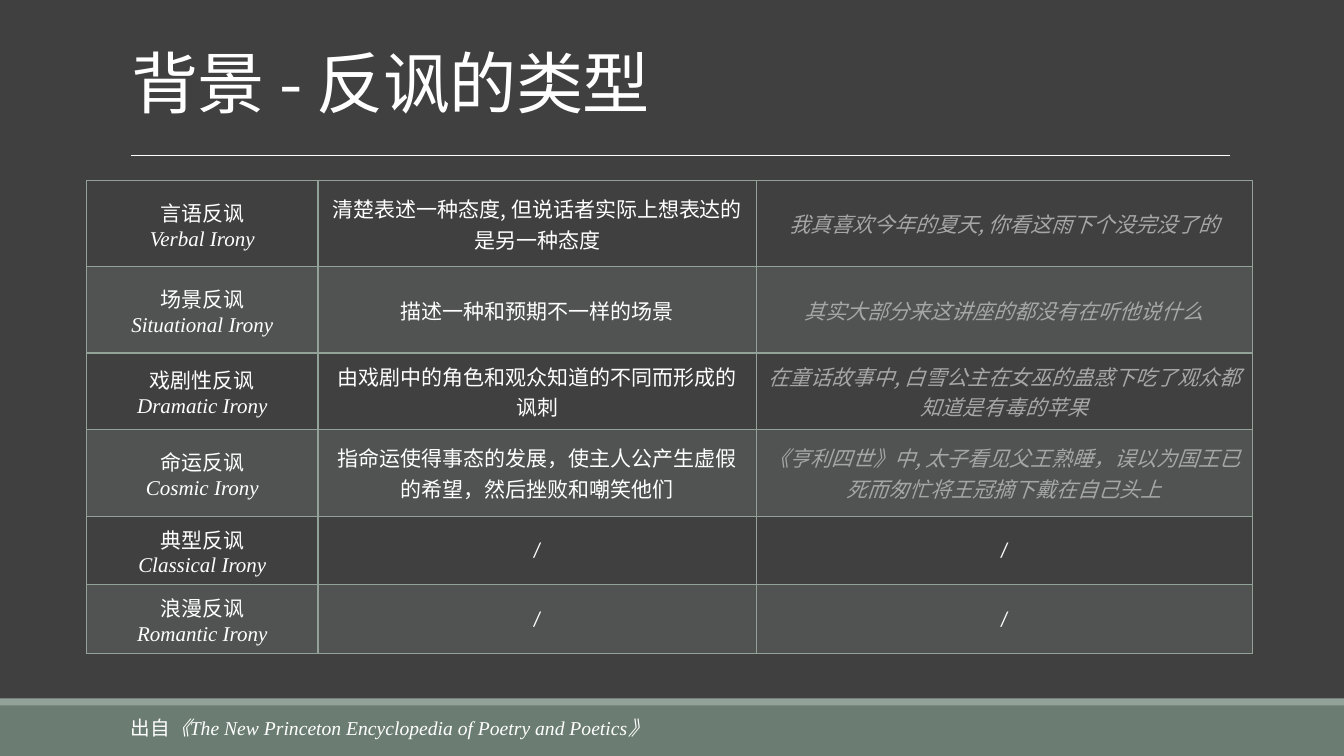
"""Build a slide with a table of the types of irony."""
from dataclasses import dataclass

import lxml.etree
import pptx
import pptx.dml.color
import pptx.enum.shapes
import pptx.enum.text
import pptx.oxml.ns
import pptx.util

RGBColor = pptx.dml.color.RGBColor
ALIGN = pptx.enum.text.PP_ALIGN
ANCHOR = pptx.enum.text.MSO_ANCHOR
AUTO = pptx.enum.text.MSO_AUTO_SIZE
qn = pptx.oxml.ns.qn

DARK = RGBColor(0x40, 0x40, 0x40)
GREEN = RGBColor(0x6B, 0x7D, 0x72)
SAGE = RGBColor(0x93, 0xA2, 0x99)
WHITE = RGBColor(0xFF, 0xFF, 0xFF)
GREY = RGBColor(0xA6, 0xA6, 0xA6)

CJK = "Noto Sans CJK SC"
SERIF = "Times New Roman"
SANS = "Calibri"

GRID = pptx.util.Inches(0.1)
SLIDE_COLS, SLIDE_ROWS = 133.33, 75
TABLE_COLS = (22.95, 43.5, 49.2)
TABLE_ROWS = (8.55, 8.55, 7.6, 8.6, 6.8, 6.8)


@dataclass(frozen=True)
class Box:
    """A place on the grid, in columns and rows."""
    col: float
    row: float
    cols: float
    rows: float

    def emu(self) -> tuple[int, ...]:
        """Return left, top, width and height."""
        return tuple(cells(n) for n in (self.col, self.row, self.cols, self.rows))


@dataclass(frozen=True)
class Look:
    """The look of a run."""
    size: float
    font: str = CJK
    color: RGBColor = WHITE
    italic: bool = False


@dataclass(frozen=True)
class Irony:
    """One type of irony, a row of the table."""
    name: str
    english: str
    meaning: str = "/"
    example: str = "/"


@dataclass(frozen=True)
class Band:
    """A coloured strip at the foot of the slide."""
    box: Box
    color: RGBColor


BANDS = (
    Band(Box(0, 70, SLIDE_COLS, 5), GREEN),
    Band(Box(0, 69.3, SLIDE_COLS, 0.7), SAGE),
)
TITLE_BOX = Box(12, -3.25, 110, 15.9)
SOURCE_BOX = Box(12, 70.5, 93.3, 3.4)
TABLE_BOX = Box(8.6, 17.92, sum(TABLE_COLS), sum(TABLE_ROWS))
RULE_BOX = Box(13, 15.4, 109, 0)

NAME = Look(15)
ENGLISH = Look(15, SERIF, italic=True)
EXAMPLE = Look(15, color=GREY, italic=True)
SLASH = Look(15, SANS)

IRONIES = (
    Irony("言语反讽", "Verbal Irony",
          "清楚表述一种态度, 但说话者实际上想表达的是另一种态度",
          "我真喜欢今年的夏天, 你看这雨下个没完没了的"),
    Irony("场景反讽", "Situational Irony",
          "描述一种和预期不一样的场景",
          "其实大部分来这讲座的都没有在听他说什么"),
    Irony("戏剧性反讽", "Dramatic Irony",
          "由戏剧中的角色和观众知道的不同而形成的讽刺",
          "在童话故事中, 白雪公主在女巫的蛊惑下吃了观众都知道是有毒的苹果"),
    Irony("命运反讽", "Cosmic Irony",
          "指命运使得事态的发展，使主人公产生虚假的希望，然后挫败和嘲笑他们",
          "《亨利四世》中, 太子看见父王熟睡，误以为国王已死而匆忙将王冠摘下戴在自己头上"),
    Irony("典型反讽", "Classical Irony"),
    Irony("浪漫反讽", "Romantic Irony"),
)


def cells(n: float) -> int:
    """Turn a number of grid cells into a length."""
    return round(n * GRID)


def style(r, look: Look) -> None:
    """Format a run, for Latin and for Chinese letters."""
    r.font.size = pptx.util.Pt(look.size)
    r.font.name = look.font
    r.font.italic = look.italic
    r.font.color.rgb = look.color
    rPr = r._r.get_or_add_rPr()
    ea = lxml.etree.Element(qn("a:ea"), typeface=CJK)
    rPr.find(qn("a:latin")).addnext(ea)


def border(cell) -> None:
    """Draw the four edges of a table cell."""
    tcPr = cell._tc.get_or_add_tcPr()
    for edge in ("a:lnL", "a:lnR", "a:lnT", "a:lnB"):
        ln = lxml.etree.SubElement(tcPr, qn(edge), w=str(pptx.util.Pt(1)))
        fill = lxml.etree.SubElement(ln, qn("a:solidFill"))
        lxml.etree.SubElement(fill, qn("a:srgbClr"), val=str(SAGE))


def tint(cell, banded: bool) -> None:
    """Fill a cell with a faint sage, or leave it clear."""
    if not banded:
        cell.fill.background()
        return
    cell.fill.solid()
    cell.fill.fore_color.rgb = SAGE
    color = cell._tc.tcPr.find(qn("a:solidFill")).find(qn("a:srgbClr"))
    lxml.etree.SubElement(color, qn("a:alpha"), val="20000")


def write_cell(cell, text: str, looks: tuple[Look, ...], banded: bool) -> None:
    """Write the centred paragraphs of a cell, one look each."""
    border(cell)
    tint(cell, banded)
    cell.vertical_anchor = ANCHOR.MIDDLE
    cell.text_frame.text = text
    for p, look in zip(cell.text_frame.paragraphs, looks):
        p.alignment = ALIGN.CENTER
        style(p.runs[0], look)


def add_bands(s) -> None:
    """Add the strips at the foot and the rule below the title."""
    for band in BANDS:
        sp = s.shapes.add_shape(pptx.enum.shapes.MSO_SHAPE.RECTANGLE, *band.box.emu())
        sp.shadow.inherit = False
        sp.fill.solid()
        sp.fill.fore_color.rgb = band.color
        sp.line.fill.background()
    x, y, w, h = RULE_BOX.emu()
    rule = s.shapes.add_connector(
        pptx.enum.shapes.MSO_CONNECTOR.STRAIGHT, x, y, x + w, y + h)
    rule.line.color.rgb = WHITE
    rule.line.width = pptx.util.Pt(0.5)
    lxml.etree.SubElement(rule._element.spPr, qn("a:effectLst"))


def add_title(s) -> None:
    """Move and format the title."""
    sp = s.shapes.title
    sp.left, sp.top, sp.width, sp.height = TITLE_BOX.emu()
    tf = sp.text_frame
    tf.text = "背景 - 反讽的类型"
    tf.auto_size = AUTO.NONE
    tf.vertical_anchor = ANCHOR.BOTTOM
    p = tf.paragraphs[0]
    p.alignment = ALIGN.LEFT
    p.line_spacing = 0.85
    style(p.runs[0], Look(48))
    p.runs[0]._r.get_or_add_rPr().set("spc", "-50")


def add_source(s) -> None:
    """Name the book the types come from."""
    tf = s.shapes.add_textbox(*SOURCE_BOX.emu()).text_frame
    tf.word_wrap = True
    tf.auto_size = AUTO.SHAPE_TO_FIT_TEXT
    for text, look in (
        ("出自", Look(14)),
        ("《The New Princeton Encyclopedia of Poetry and Poetics》",
         Look(14, SERIF, italic=True)),
    ):
        r = tf.paragraphs[0].add_run()
        r.text = text
        style(r, look)


def add_ironies(s) -> None:
    """Add the table of ironies."""
    table = s.shapes.add_table(len(IRONIES), len(TABLE_COLS), *TABLE_BOX.emu()).table
    table.first_row = table.horz_banding = False
    for column, width in zip(table.columns, TABLE_COLS):
        column.width = cells(width)
    for i, (row, height, irony) in enumerate(zip(table.rows, TABLE_ROWS, IRONIES)):
        row.height = cells(height)
        blank = irony.meaning == "/"
        entries = (
            (f"{irony.name}\n{irony.english}", (NAME, ENGLISH)),
            (irony.meaning, (SLASH if blank else NAME,)),
            (irony.example, (SLASH if blank else EXAMPLE,)),
        )
        for cell, (text, looks) in zip(row.cells, entries):
            write_cell(cell, text, looks, i % 2 == 1)


def main() -> None:
    """Build and save the slide."""
    prs = pptx.Presentation()
    prs.slide_width, prs.slide_height = cells(SLIDE_COLS), cells(SLIDE_ROWS)
    s = prs.slides.add_slide(prs.slide_layouts.get_by_name("Title Only"))
    s.background.fill.solid()
    s.background.fill.fore_color.rgb = DARK
    add_bands(s)
    add_title(s)
    add_source(s)
    add_ironies(s)
    prs.save("out.pptx")


if __name__ == "__main__":
    main()
